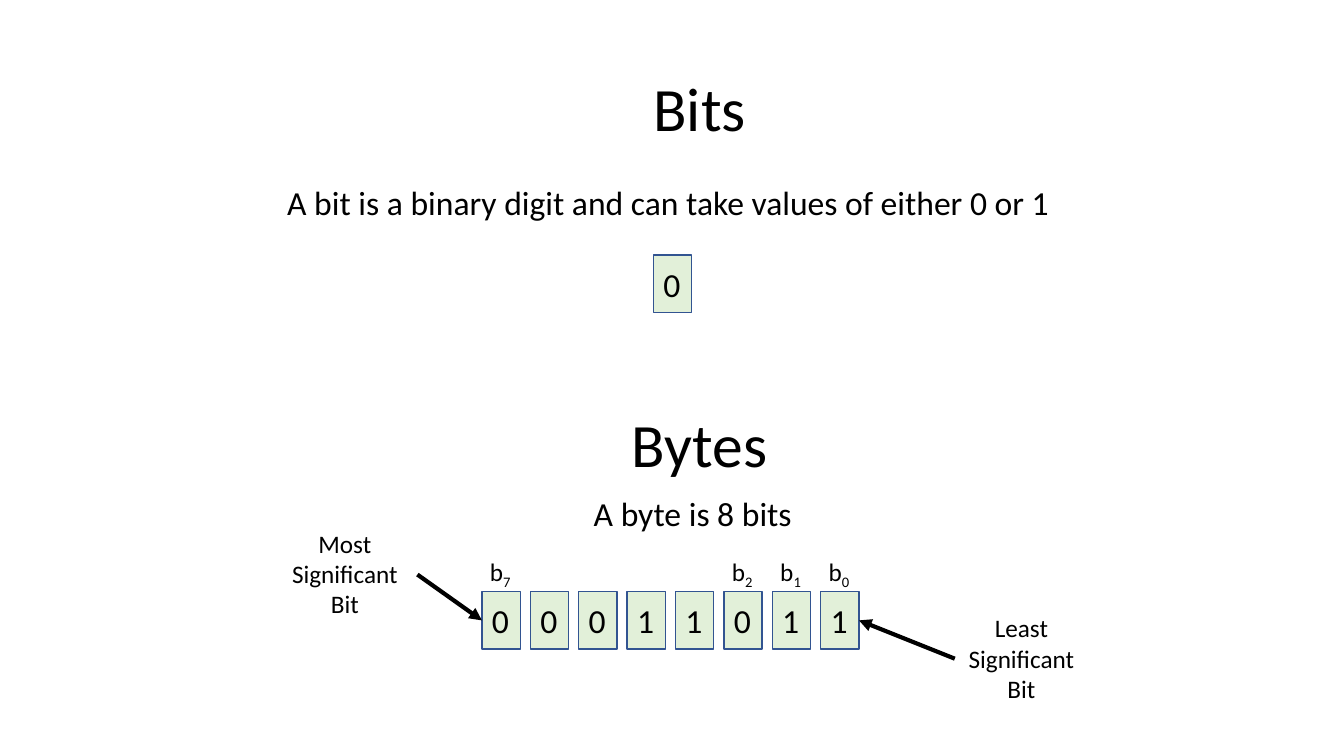
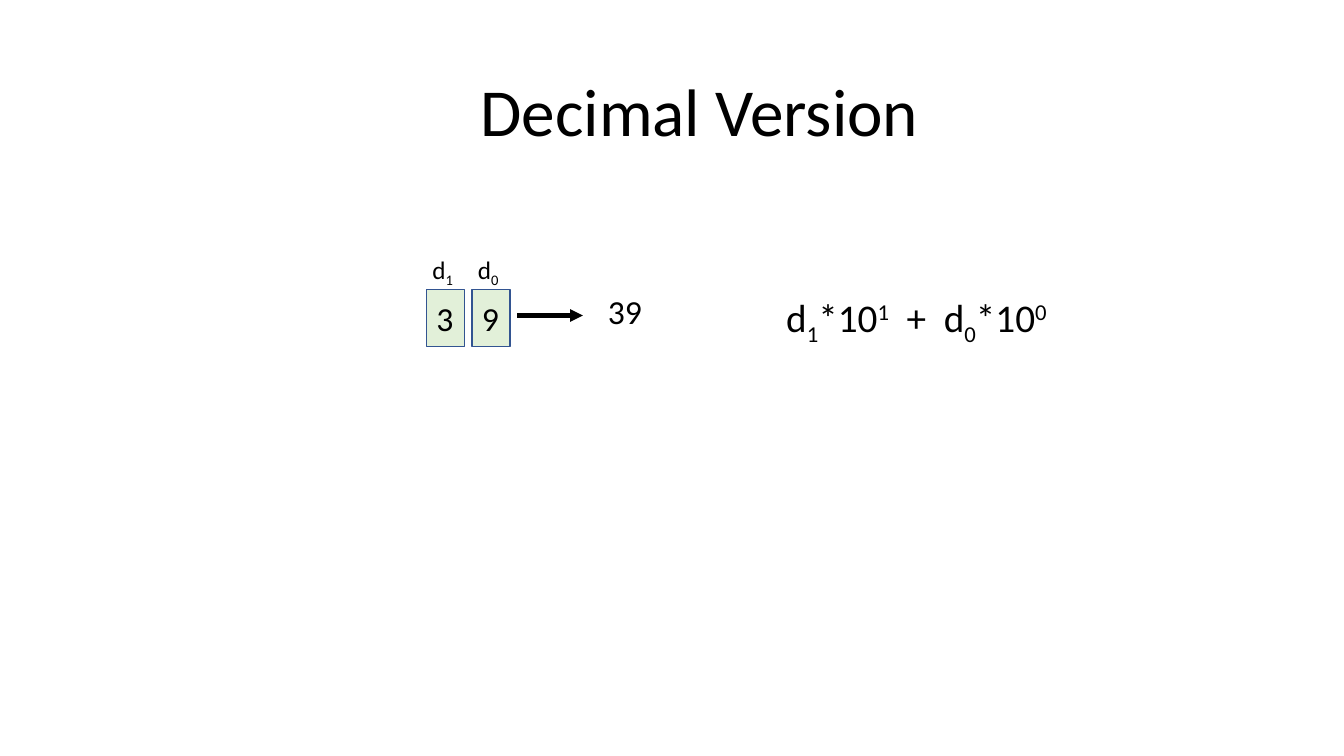
from dataclasses import dataclass
from typing import NamedTuple, Optional, Sequence

from lxml.etree import SubElement
from pptx import Presentation
from pptx.dml.color import RGBColor
from pptx.enum.shapes import MSO_CONNECTOR as Connector, MSO_SHAPE as Preset
from pptx.enum.text import MSO_ANCHOR as Anchor, MSO_AUTO_SIZE as AutoSize, PP_ALIGN as Align
from pptx.oxml.ns import qn
from pptx.shapes.autoshape import Shape
from pptx.slide import Slide
from pptx.text.text import TextFrame
from pptx.util import Inches, Pt


@dataclass(frozen=True)
class Theme:
    font: str = "Calibri"
    ink: RGBColor = RGBColor(0x00, 0x00, 0x00)
    cell_fill: RGBColor = RGBColor(0xE2, 0xF0, 0xD9)
    cell_line: RGBColor = RGBColor(0x32, 0x54, 0x91)
    title: int = 44
    large_title: int = 48
    formula: int = 28
    body: int = 24
    label: int = 18
    cell_border: float = 1
    arrow: float = 3


THEME = Theme()
SUBSCRIPT, SUPERSCRIPT = "-25000", "30000"
CELL_WIDTH, CELL_HEIGHT = 0.38, 0.57
LABEL_WIDTH, LABEL_HEIGHT = 0.42, 0.4


class Span(NamedTuple):
    text: str
    baseline: Optional[str] = None


class Area(NamedTuple):
    left: float
    top: float
    width: float
    height: float


@dataclass(frozen=True)
class DigitRow:
    """Digits in equally spaced cells, with place labels above some of them."""
    left: float
    top: float
    digits: str
    pitch: float = 0.48
    symbol: str = ""
    labelled_places: Sequence[int] = ()
    label_shift: float = -0.02


# Text
def write(frame: TextFrame, spans: Sequence[Span], size: int, align: Align = Align.LEFT) -> None:
    para = frame.paragraphs[0]
    para.alignment = align
    for span in spans:
        run = para.add_run()
        run.text = span.text
        run.font.name = THEME.font
        run.font.size = Pt(size)
        run.font.color.rgb = THEME.ink
        if span.baseline:
            run._r.get_or_add_rPr().set("baseline", span.baseline)


def add_text(page: Slide, area: Area, spans: Sequence[Span], size: int,
             align: Align = Align.LEFT, wrap: bool = False) -> Shape:
    box = page.shapes.add_textbox(*map(Inches, area))
    box.text_frame.word_wrap = wrap
    box.text_frame.auto_size = AutoSize.SHAPE_TO_FIT_TEXT
    write(box.text_frame, spans, size, align)
    return box


def add_title(page: Slide, text: str, top: float, size: int = THEME.title) -> None:
    add_text(page, Area(2.07, top, 9.74, size * 0.019), [Span(text)], size, Align.CENTER, True)


def add_caption(page: Slide, text: str, left: float, top: float) -> Shape:
    return add_text(page, Area(left, top, 1.32, 1.01), [Span(text)],
                    THEME.label, Align.CENTER, True)


# Digit cells
def add_cell(page: Slide, left: float, top: float, digit: str) -> Shape:
    cell = page.shapes.add_shape(Preset.RECTANGLE, Inches(left), Inches(top),
                                 Inches(CELL_WIDTH), Inches(CELL_HEIGHT))
    cell.shadow.inherit = False
    cell.fill.solid()
    cell.fill.fore_color.rgb = THEME.cell_fill
    cell.line.color.rgb = THEME.cell_line
    cell.line.width = Pt(THEME.cell_border)
    cell.text_frame.vertical_anchor = Anchor.MIDDLE
    write(cell.text_frame, [Span(digit)], THEME.body)
    return cell


def add_digit_row(page: Slide, row: DigitRow) -> list[Shape]:
    cells = [add_cell(page, row.left + index * row.pitch, row.top, digit)
             for index, digit in enumerate(row.digits)]
    for place in row.labelled_places:
        index = len(row.digits) - 1 - place
        area = Area(row.left + index * row.pitch + row.label_shift,
                    row.top - LABEL_HEIGHT, LABEL_WIDTH, LABEL_HEIGHT)
        add_text(page, area, [Span(row.symbol), Span(str(place), SUBSCRIPT)], THEME.label)
    return cells


# Arrows
def add_arrow(page: Slide, start: tuple[float, float], end: tuple[float, float],
              source: Optional[tuple[Shape, int]] = None,
              target: Optional[tuple[Shape, int]] = None) -> None:
    arrow = page.shapes.add_connector(Connector.STRAIGHT, *map(Inches, start + end))
    if source:
        arrow.begin_connect(*source)
    if target:
        arrow.end_connect(*target)
    arrow.line.color.rgb = THEME.ink
    arrow.line.width = Pt(THEME.arrow)
    SubElement(arrow.line._get_or_add_ln(), qn("a:tailEnd"), type="triangle")
    SubElement(arrow._element.spPr, qn("a:effectLst"))


# Slides
def build_bits_and_bytes(page: Slide) -> None:
    add_title(page, "Bits", 0.64)
    add_text(page, Area(2.75, 1.76, 7.82, 0.5),
             [Span("A bit is a binary digit and can take values of either 0 or 1")], THEME.body)
    add_digit_row(page, DigitRow(6.48, 2.53, "0"))

    add_title(page, "Bytes", 3.98)
    add_text(page, Area(5.79, 4.84, 2.18, 0.5), [Span("A byte is 8 bits")], THEME.body)
    cells = add_digit_row(page, DigitRow(4.78, 5.87, "00011011", symbol="b",
                                         labelled_places=(7, 2, 1, 0)))
    add_caption(page, "Most Significant Bit", 2.76, 5.19)
    least = add_caption(page, "Least Significant Bit", 9.47, 6.03)
    add_arrow(page, (4.14, 5.7), (4.78, 6.16), target=(cells[0], 1))
    add_arrow(page, (9.47, 6.54), (8.52, 6.16), source=(least, 1), target=(cells[-1], 3))


def build_decimal(page: Slide) -> None:
    add_title(page, "Decimal Version", 0.64, THEME.large_title)
    add_digit_row(page, DigitRow(4.23, 2.87, "39", pitch=0.45, symbol="d",
                                 labelled_places=(1, 0), label_shift=-0.04))
    add_arrow(page, (5.13, 3.13), (5.78, 3.13))
    add_text(page, Area(5.93, 2.84, 0.54, 0.5), [Span("39")], THEME.body)
    formula = [Span("d"), Span("1", SUBSCRIPT), Span("*10"), Span("1", SUPERSCRIPT),
               Span("  +  d"), Span("0", SUBSCRIPT), Span("*10"), Span("0", SUPERSCRIPT)]
    add_text(page, Area(7.7, 2.86, 3.5, 0.57), formula, THEME.formula, wrap=True)


def main() -> None:
    deck = Presentation()
    deck.slide_width, deck.slide_height = Inches(13.33), Inches(7.5)
    blank = deck.slide_layouts[6]
    for build in (build_bits_and_bytes, build_decimal):
        build(deck.slides.add_slide(blank))
    deck.save("out.pptx")


if __name__ == "__main__":
    main()
